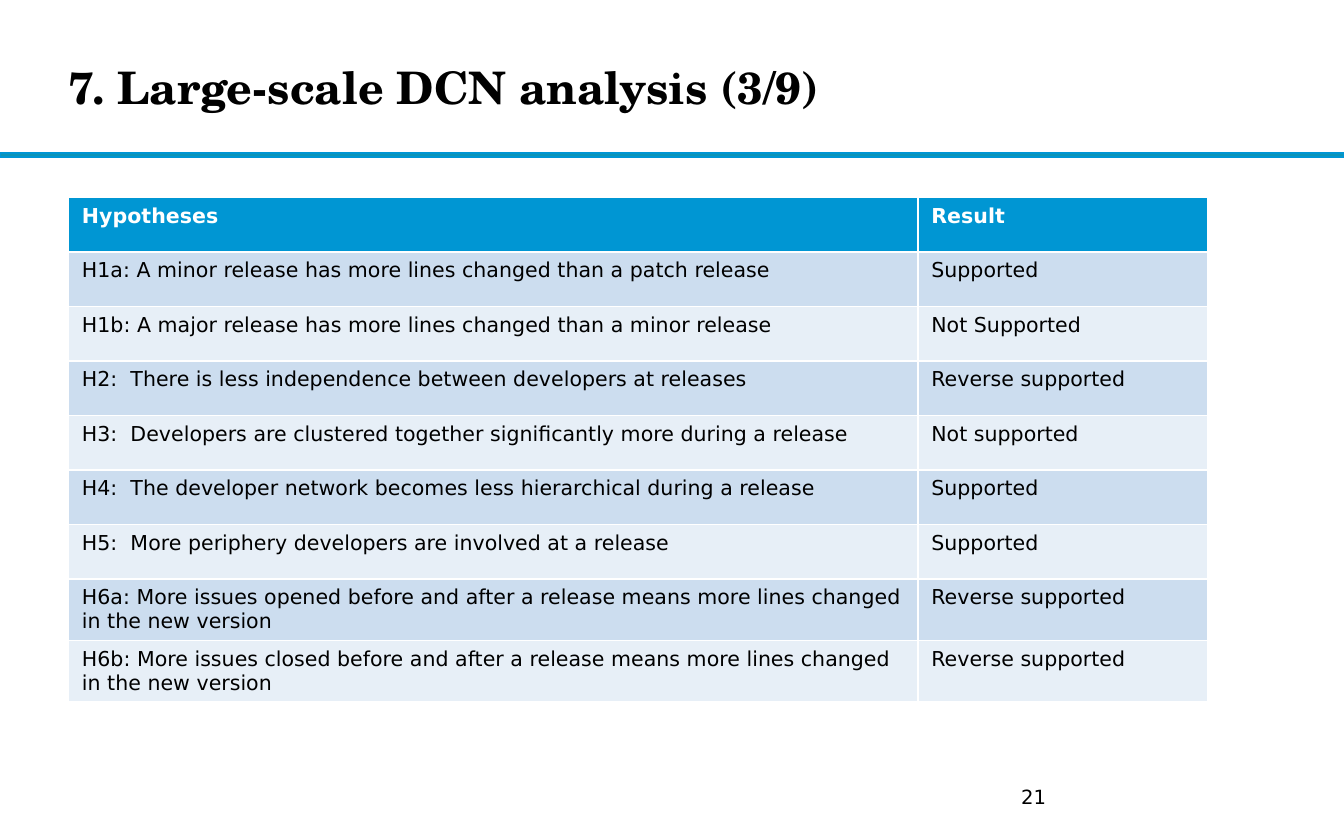
from pptx import Presentation
from pptx.dml.color import RGBColor
from pptx.enum.shapes import MSO_SHAPE
from pptx.enum.text import MSO_ANCHOR
from pptx.util import Inches, Pt

TITLE = "7. Large-scale DCN analysis (3/9)"
PAGE = "21"
ROWS = [
    ("Hypotheses", "Result"),
    ("H1a: A minor release has more lines changed than a patch release", "Supported"),
    ("H1b: A major release has more lines changed than a minor release", "Not Supported"),
    ("H2:  There is less independence between developers at releases", "Reverse supported"),
    ("H3:  Developers are clustered together significantly more during a release",
     "Not supported"),
    ("H4:  The developer network becomes less hierarchical during a release", "Supported"),
    ("H5:  More periphery developers are involved at a release", "Supported"),
    ("H6a: More issues opened before and after a release means more lines changed "
     "in the new version", "Reverse supported"),
    ("H6b: More issues closed before and after a release means more lines changed "
     "in the new version", "Reverse supported"),
]

COLORS = {"head": "0096D3", "rule": "0C94B7", "odd": "CCDDEF", "even": "E7EFF7",
          "ink": "000000", "white": "FFFFFF"}
SANS, SERIF = "DejaVu Sans", "TeX Gyre Schola"
WIDE, HIGH = 10, 6.25
LEFT = 0.51
TOP = 1.47
COLS = (6.32, 2.16)
ROW = 3.65 / len(ROWS)


def color(name):
    return RGBColor.from_string(COLORS[name])


def write(frame, text, size, face=SANS, ink="ink", bold=False):
    run = frame.paragraphs[0].add_run()
    run.text = text
    font = run.font
    font.name, font.size, font.bold = face, Pt(size), bold
    font.color.rgb = color(ink)


def add_box(slide, area, inset=None):
    """Add a wrapped text box, centred in height, and return its frame."""
    frame = slide.shapes.add_textbox(*map(Inches, area)).text_frame
    frame.word_wrap = True
    frame.vertical_anchor = MSO_ANCHOR.MIDDLE
    if inset is not None:
        frame.margin_left = frame.margin_right = Inches(inset)
        frame.margin_top = frame.margin_bottom = Inches(inset)
    return frame


def add_rule(slide):
    rule = slide.shapes.add_shape(
        MSO_SHAPE.RECTANGLE, 0, Inches(1.14), Inches(WIDE), Inches(0.03))
    rule.shadow.inherit = False
    rule.fill.solid()
    rule.fill.fore_color.rgb = color("rule")
    rule.line.color.rgb = color("head")
    rule.line.width = Pt(1)


def add_grid(slide):
    area = (LEFT, TOP, sum(COLS), ROW * len(ROWS))
    table = slide.shapes.add_table(len(ROWS), len(COLS), *map(Inches, area)).table
    for col, width in zip(table.columns, COLS):
        col.width = Inches(width)
    for r, row in enumerate(ROWS):
        table.rows[r].height = Inches(ROW)
        head = r == 0
        fill = "head" if head else "odd" if r % 2 else "even"
        for c, text in enumerate(row):
            cell = table.cell(r, c)
            cell.fill.solid()
            cell.fill.fore_color.rgb = color(fill)
            write(cell.text_frame, text, 11, ink="white" if head else "ink", bold=head)


def main():
    deck = Presentation()
    deck.slide_width, deck.slide_height = Inches(WIDE), Inches(HIGH)
    slide = deck.slides.add_slide(deck.slide_layouts[6])
    add_rule(slide)
    add_grid(slide)
    write(add_box(slide, (LEFT, 0.15, 7.48, 0.99), 0), TITLE, 24, SERIF, bold=True)
    write(add_box(slide, (7.5, 5.79, 0.54, 0.28)), PAGE, 10.5)
    deck.save("out.pptx")


if __name__ == "__main__":
    main()
